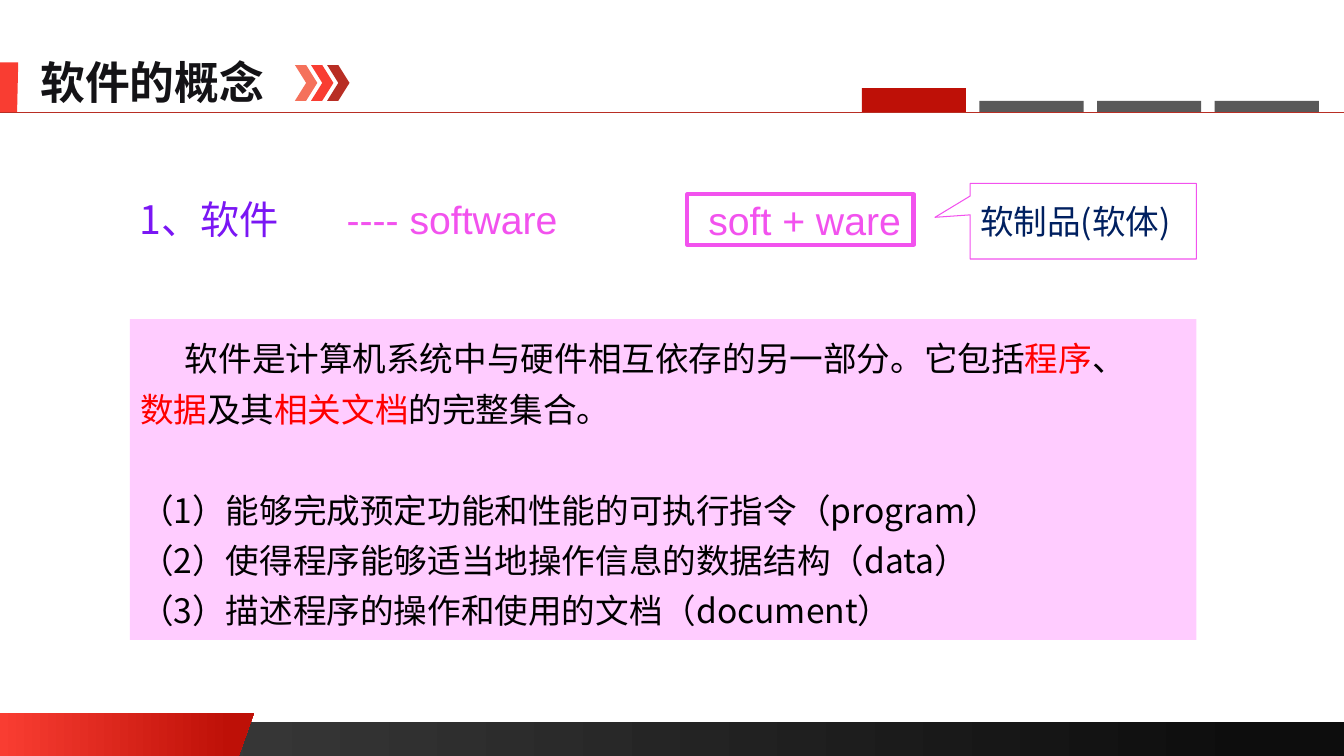
from dataclasses import dataclass

from lxml import etree
from pptx import Presentation
from pptx.dml.color import RGBColor
from pptx.enum.shapes import MSO_CONNECTOR, MSO_SHAPE
from pptx.enum.text import MSO_ANCHOR, MSO_AUTO_SIZE, PP_ALIGN
from pptx.oxml.ns import qn
from pptx.util import Pt

RECT = MSO_SHAPE.RECTANGLE
CHEVRON = MSO_SHAPE.CHEVRON
CALLOUT = MSO_SHAPE.RECTANGULAR_CALLOUT
STRAIGHT = MSO_CONNECTOR.STRAIGHT
MIDDLE = MSO_ANCHOR.MIDDLE
LEFT = PP_ALIGN.LEFT
FIXED = MSO_AUTO_SIZE.NONE


@dataclass(frozen=True)
class Theme:
    han: str = "Noto Sans CJK SC"
    latin: str = "Arial"
    head: int = 32
    lead: int = 28
    text: int = 24
    ink: str = "141316"
    black: str = "000000"
    accent: str = "FF0000"
    violet: str = "7A16F4"
    pink: str = "F252EE"
    navy: str = "002060"
    panel: str = "FFCCFF"
    gray: str = "595959"
    coal: str = "404040"
    night: str = "0D0D0D"
    coral: str = "F5715B"
    red: str = "F93D32"
    brick: str = "B82E24"
    deep: str = "BE1007"


THEME = Theme()


def rgb(code):
    return RGBColor.from_string(code)


def apply(target, values):
    for name, value in values.items():
        setattr(target, name, value)


def place(shape, box):
    names = ("left", "top", "width", "height")
    apply(shape, dict(zip(names, map(Pt, box))))


def paint(shape, fill=None, line=None, weight=1):
    shape.shadow.inherit = False
    if fill is None:
        shape.fill.background()
    elif isinstance(fill, str):
        shape.fill.solid()
        shape.fill.fore_color.rgb = rgb(fill)
    else:
        shape.fill.gradient()
        shape.fill.gradient_angle = 0
        for stop, (spot, code) in zip(shape.fill.gradient_stops, fill):
            stop.position = spot
            stop.color.rgb = rgb(code)
    if line:
        shape.line.color.rgb = rgb(line)
        shape.line.width = Pt(weight)
    else:
        shape.line.fill.background()


def block(shapes, kind, box, **style):
    shape = shapes.add_shape(kind, *map(Pt, box))
    paint(shape, **style)
    return shape


def outline(shapes, points, fill):
    points = [(Pt(x), Pt(y)) for x, y in points]
    builder = shapes.build_freeform(*points[0], scale=1.0)
    builder.add_line_segments(points[1:], close=True)
    paint(builder.convert_to_shape(), fill)


def rule(shapes, y, width, color):
    line = shapes.add_connector(STRAIGHT, 0, Pt(y), Pt(width), Pt(y))
    line.line.color.rgb = rgb(color)
    line.line.width = Pt(0.5)
    etree.SubElement(line._element.spPr, qn("a:effectLst"))


def frame(shape, wrap=False, inset=7.2):
    apply(shape.text_frame, dict(
        auto_size=FIXED, word_wrap=wrap, vertical_anchor=MIDDLE,
        margin_left=Pt(inset), margin_right=Pt(7.2),
        margin_top=Pt(3.6), margin_bottom=Pt(3.6)))
    return shape.text_frame


def write(para, text, size, color, face=THEME.han, bold=False):
    run = para.add_run()
    run.text = text
    run.font.color.rgb = rgb(color)
    apply(run.font, dict(size=Pt(size), bold=bold, name=face))
    east = etree.SubElement(run._r.get_or_add_rPr(), qn("a:ea"))
    east.set("typeface", face)


def label(shape, text, size, color, face=THEME.han, bold=False, **layout):
    para = frame(shape, **layout).paragraphs[0]
    para.alignment = LEFT
    write(para, text, size, color, face, bold)


def prose(shape, rows):
    body = frame(shape, wrap=True)
    for index, (indent, before, parts) in enumerate(rows):
        para = body.add_paragraph() if index else body.paragraphs[0]
        props = para._p.get_or_add_pPr()
        props.set("marL", "0")
        props.set("indent", str(Pt(indent)))
        etree.SubElement(props, qn("a:buNone"))
        apply(para, dict(alignment=LEFT, line_spacing=1.25,
                         space_before=Pt(before), space_after=Pt(0)))
        for text, color in parts:
            write(para, text, THEME.text, color)


def banner(shapes):
    block(shapes, RECT, (0, 516, 960, 24),
          fill=((0, THEME.coal), (0.94, THEME.night)))
    outline(shapes, ((0, 509), (181.5, 509), (170.5, 540), (0, 540)),
            ((0, THEME.red), (0.91, THEME.deep)))
    outline(shapes, ((0, 44.6), (13, 44.6), (12.2, 80.6), (0, 80.6)),
            THEME.red)
    rule(shapes, 80, 960, THEME.brick)
    group = shapes.add_group_shape().shapes
    for index, color in enumerate((THEME.coral, THEME.red, THEME.brick)):
        block(group, CHEVRON, (210.7 + 11.5 * index, 46.5, 16, 25.5),
              fill=color)
    for index in range(4):
        tall, color = (8, THEME.gray) if index else (17, THEME.deep)
        block(shapes, RECT, (615.6 + 84 * index, 80 - tall, 74.4, tall),
              fill=color)


def terms(shapes):
    for box, text, color, face in (
            ((92.8, 138.5, 131.5, 36), "1、软件", THEME.violet, THEME.han),
            ((240.5, 138.5, 166, 36), "---- software", THEME.pink,
             THEME.latin)):
        label(shapes.add_textbox(*map(Pt, box)), text, THEME.lead, color,
              face)
    parts = block(shapes, RECT, (491, 138.8, 161.5, 36),
                  line=THEME.pink, weight=3)
    label(parts, "soft + ware", THEME.lead, THEME.pink, THEME.latin,
          inset=15)
    note = block(shapes, CALLOUT, (693, 131, 161.5, 54),
                 line=THEME.pink, weight=0.75)
    note.adjustments[0] = -0.656
    note.adjustments[1] = -0.051
    label(note, "软制品(软体)", THEME.text, THEME.navy, wrap=True)


def main():
    deck = Presentation()
    apply(deck, dict(slide_width=Pt(960), slide_height=Pt(540)))
    slide = deck.slides.add_slide(deck.slide_layouts[1])
    title, body = slide.placeholders
    banner(slide.shapes)
    place(title, (21.6, 35.3, 176.4, 46))
    label(title, "软件的概念", THEME.head, THEME.ink, bold=True)
    terms(slide.shapes)
    place(body, (92.8, 228, 761.7, 229))
    body.fill.solid()
    body.fill.fore_color.rgb = rgb(THEME.panel)
    black, accent = THEME.black, THEME.accent
    prose(body, (
        (32, 0, (("软件是计算机系统中与硬件相互依存的另一部分。它包括", black),
                 ("程序", accent), ("、", black))),
        (0, 0, (("数据", accent), ("及其", black), ("相关文档", accent),
                ("的完整集合。", black))),
        (0, 36, (("（1）能够完成预定功能和性能的可执行指令（program）", black),)),
        (0, 0, (("（2）使得程序能够适当地操作信息的数据结构（data）", black),)),
        (0, 0, (("（3）描述程序的操作和使用的文档（document）", black),))))
    deck.save("out.pptx")


if __name__ == "__main__":
    main()
